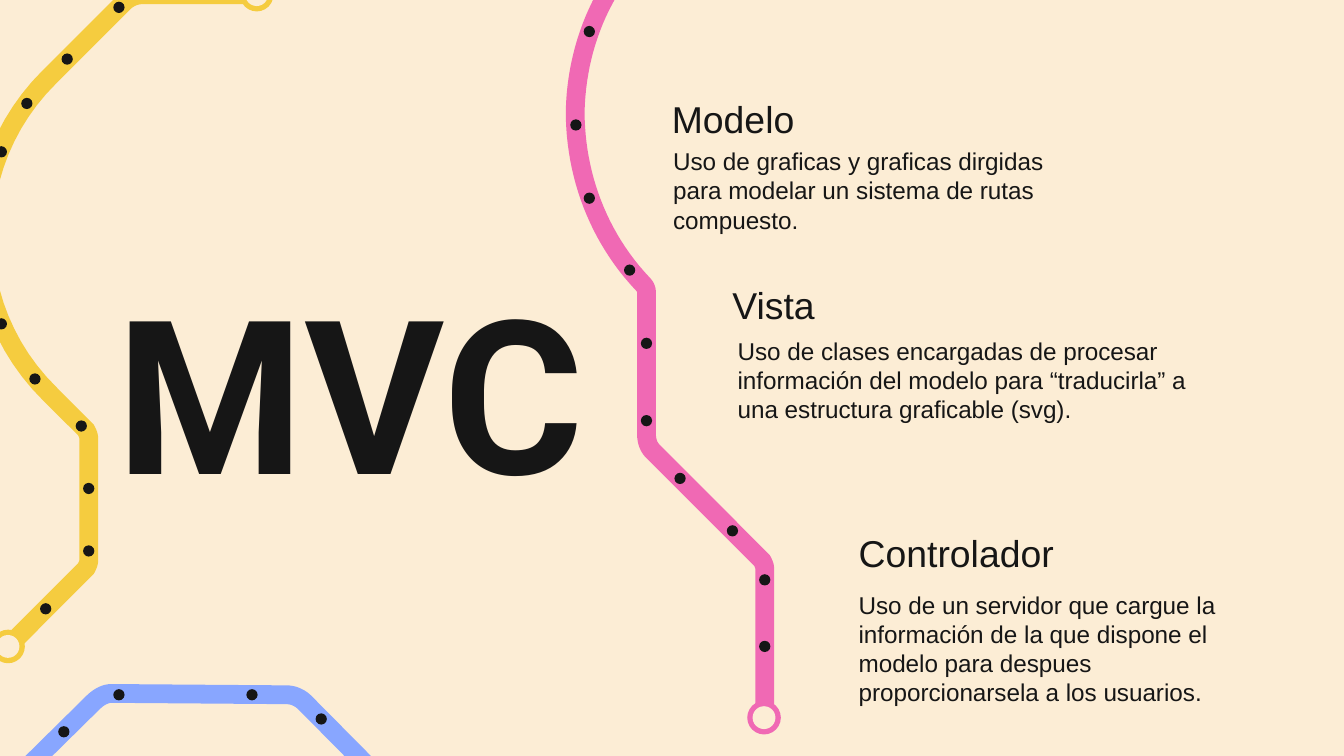
from dataclasses import dataclass
from math import atan2, cos, hypot, pi, sin

from pptx import Presentation
from pptx.dml.color import RGBColor
from pptx.enum.shapes import MSO_SHAPE
from pptx.enum.text import MSO_ANCHOR, MSO_AUTO_SIZE, PP_ALIGN
from pptx.util import Inches, Pt

OVAL = MSO_SHAPE.OVAL
TOP, MIDDLE = MSO_ANCHOR.TOP, MSO_ANCHOR.MIDDLE
LEFT, CENTER = PP_ALIGN.LEFT, PP_ALIGN.CENTER
NO_FIT = MSO_AUTO_SIZE.NONE
COLORS = {"paper": "FCEDD5", "ink": "161616", "blue": "88A6FF",
          "yellow": "F5CC3F", "pink": "F069B4"}

# The slide is a grid of 100 columns; rows are as tall as columns are wide
WIDTH, HEIGHT = Inches(10), Inches(5.625)
CELL = WIDTH / 100
TRACK, DOT, RING, HOLE = 1.4, 0.84, 2.5, 1.7
CURVE_STEPS = 24

Point = tuple[float, float]


@dataclass
class MetroLine:
    color: str
    route: list[tuple[Point, ...]]  # one point: straight; three: Bezier curve
    stations: list[Point]
    terminals: list[Point]


@dataclass
class Topic:
    heading: str
    body: str
    heading_box: tuple[float, float, float, float]
    body_box: tuple[float, float, float, float]


BLUE = MetroLine(
    "blue",
    [((32, 61.7),), ((22.7, 52.3),), ((22.3, 51.9), (21.8, 51.7), (21.3, 51.7)),
     ((8.3, 51.6),), ((7.8, 51.6), (7.3, 51.9), (6.9, 52.3)), ((-0.5, 59.6),),
     ((-0.9, 60), (-1.4, 60.2), (-1.9, 60.2))],
    [(18.75, 51.7), (8.85, 51.7), (4.75, 54.45), (23.9, 53.5)], [])

YELLOW = MetroLine(
    "yellow",
    [((19.1, -0.4),), ((10.7, -0.4),), ((10.1, -0.4), (9.6, -0.2), (9.2, 0.2)),
     ((3.7, 5.7),), ((-2.9, 12.2), (-2.9, 22.8), (3.7, 29.3)), ((6.4, 32),),
     ((6.5, 32.2), (6.6, 32.4), (6.6, 32.6)), ((6.6, 41.7),),
     ((6.6, 41.9), (6.5, 42.1), (6.4, 42.3)), ((0.6, 48.1),)],
    [(8.85, 0.55), (5, 4.4), (2, 7.7), (0.1, 11.3), (0.1, 24.1), (2.6, 28.2),
     (6.05, 31.7), (6.6, 36.35), (6.6, 41), (3.4, 45.3)],
    [(0.6, 48.1), (19.1, -0.4)])

PINK = MetroLine(
    "pink",
    [((56.9, 53.4),), ((56.9, 42.3),), ((56.9, 42.1), (56.8, 41.9), (56.7, 41.7)),
     ((48.6, 33.6),), ((48.2, 33.2), (48.1, 32.7), (48.1, 32.2)), ((48.1, 21.7),),
     ((48.1, 21.5), (48, 21.3), (47.8, 21.1)),
     ((44.5, 17.6), (42.8, 13), (42.8, 8.3)),
     ((42.9, 3.6), (44.7, -1), (48.2, -4.3)), ((49.7, -5.8),),
     ((50.1, -6.2), (50.6, -6.4), (51.1, -6.4)), ((67.3, -6.3),)],
    [(43.85, 2.35), (42.85, 9.3), (43.85, 14.75), (46.85, 20.1), (48.1, 25.55),
     (48.1, 31.3), (50.6, 35.6), (54.5, 39.5), (56.9, 43.15), (56.9, 48.1)],
    [(56.85, 53.4)])

TOPICS = [
    Topic("Modelo",
          "Uso de graficas y graficas dirgidas para modelar un sistema de rutas compuesto.",
          (49, 6.5, 25.2, 4.7), (49.1, 9.9, 30.2, 7.4)),
    Topic("Vista",
          "Uso de clases encargadas de procesar información del modelo para "
          "“traducirla” a una estructura graficable (svg).",
          (53.5, 20.3, 25.2, 4.7), (53.9, 24, 35.4, 11.3)),
    Topic("Controlador",
          "Uso de un servidor que cargue la información de la que dispone el "
          "modelo para despues proporcionarsela a los usuarios.",
          (62.9, 38.8, 25.2, 4.7), (62.9, 42.9, 30.1, 11.3)),
]


def rgb(name: str) -> RGBColor:
    return RGBColor.from_string(COLORS[name])


def paint(sp, color: str) -> None:
    sp.shadow.inherit = False
    sp.fill.solid()
    sp.fill.fore_color.rgb = rgb(color)
    sp.line.fill.background()


def add_disc(shapes, center: Point, size: float, color: str) -> None:
    x, y = (round((c - size / 2) * CELL) for c in center)
    side = round(size * CELL)
    paint(shapes.add_shape(OVAL, x, y, side, side), color)


def sample(route: list[tuple[Point, ...]]) -> list[Point]:
    """Turn straight and curved legs into a chain of points."""
    points = [route[0][0]]
    for leg in route[1:]:
        if len(leg) == 1:
            points.append(leg[0])
            continue
        knots = [points[-1], *leg]
        for i in range(1, CURVE_STEPS + 1):
            t = i / CURVE_STEPS
            weights = ((1 - t) ** 3, 3 * t * (1 - t) ** 2, 3 * t * t * (1 - t), t ** 3)
            points.append(tuple(sum(w * k[axis] for w, k in zip(weights, knots))
                                for axis in (0, 1)))
    return points


def outline(points: list[Point]) -> list[Point]:
    """Widen a chain of points into a track with a round end."""
    left, right = [], []
    last = len(points) - 1
    for i, (x, y) in enumerate(points):
        (x0, y0), (x1, y1) = points[max(i - 1, 0)], points[min(i + 1, last)]
        before, after = hypot(x - x0, y - y0) or 1, hypot(x1 - x, y1 - y) or 1
        angle = atan2((y - y0) / before + (y1 - y) / after,
                      (x - x0) / before + (x1 - x) / after)
        dx, dy = -sin(angle) * TRACK / 2, cos(angle) * TRACK / 2
        left.append((x + dx, y + dy))
        right.append((x - dx, y - dy))
    x, y = points[-1]
    turns = [angle + pi / 2 - pi * k / 8 for k in range(1, 8)]
    cap = [(x + cos(a) * TRACK / 2, y + sin(a) * TRACK / 2) for a in turns]
    return left + cap + right[::-1]


def add_metro_line(shapes, line: MetroLine) -> None:
    group = shapes.add_group_shape().shapes
    # The builder rounds to whole units, so it gets EMU rather than cells
    start, *rest = [(round(x * CELL), round(y * CELL))
                    for x, y in outline(sample(line.route))]
    builder = group.build_freeform(*start)
    builder.add_line_segments(rest, close=True)
    paint(builder.convert_to_shape(), line.color)
    for center in line.terminals:
        add_disc(group, center, RING, line.color)
        add_disc(group, center, HOLE, "paper")
    for center in line.stations:
        add_disc(group, center, DOT, "ink")


def set_text(sp, text: str, box: tuple[float, ...], size: float, font: str = "Arial",
             anchor=TOP, align=LEFT, bold: bool = False) -> None:
    sp.left, sp.top, sp.width, sp.height = (round(v * CELL) for v in box)
    tf = sp.text_frame
    tf.text = text
    tf.word_wrap, tf.auto_size, tf.vertical_anchor = True, NO_FIT, anchor
    tf.margin_left = tf.margin_right = tf.margin_top = tf.margin_bottom = Inches(0.1)
    p = tf.paragraphs[0]
    p.alignment, p.line_spacing = align, 1.0
    f = p.runs[0].font
    f.name, f.size, f.bold = font, Pt(size), bold
    f.color.rgb = rgb("ink")


def main() -> None:
    prs = Presentation()
    prs.slide_width, prs.slide_height = WIDTH, HEIGHT
    slide = prs.slides.add_slide(prs.slide_layouts[5])
    slide.background.fill.solid()
    slide.background.fill.fore_color.rgb = rgb("paper")
    shapes = slide.shapes

    # Title
    set_text(shapes.title, "MVC", (5.3, 18.3, 41.5, 27.5), 115, "Roboto",
             align=CENTER, bold=True)

    # Metro lines
    for line in (BLUE, YELLOW, PINK):
        add_metro_line(shapes, line)

    # Topics along the pink line
    for topic in TOPICS:
        body, heading = (shapes.add_textbox(0, 0, 0, 0) for _ in range(2))
        set_text(body, topic.body, topic.body_box, 13)
        set_text(heading, topic.heading, topic.heading_box, 20, anchor=MIDDLE)

    prs.save("out.pptx")


if __name__ == "__main__":
    main()
